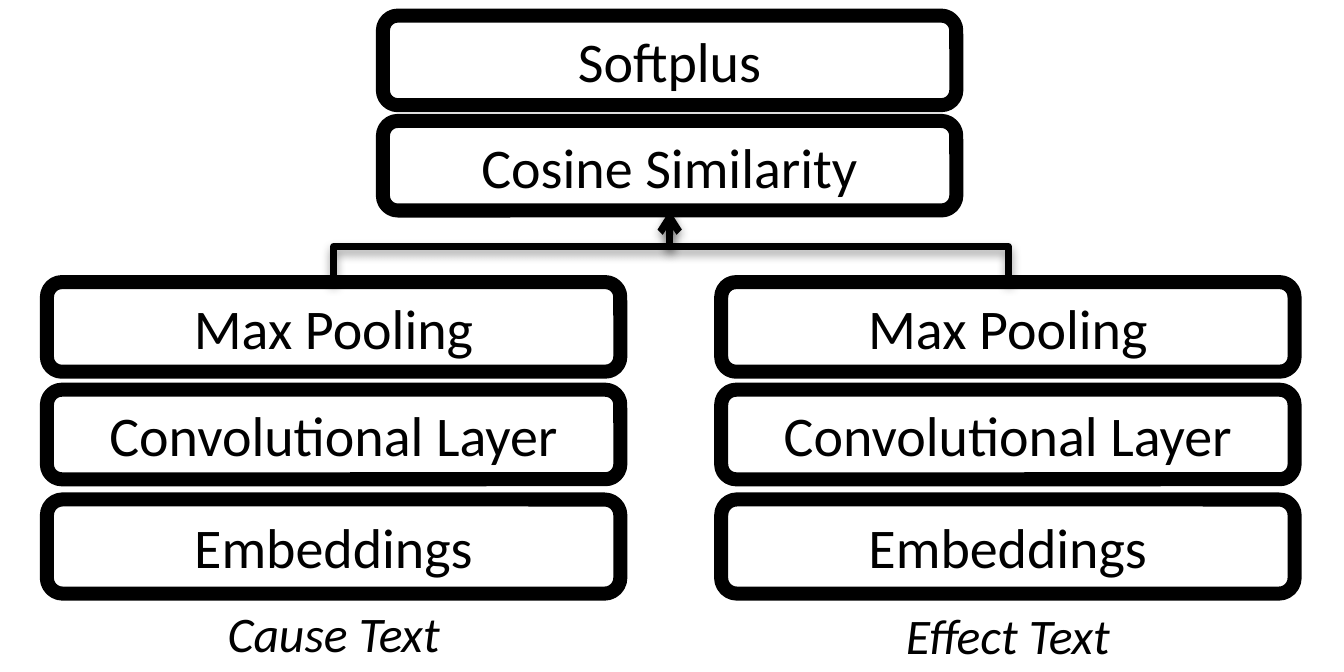
from dataclasses import dataclass

from lxml import etree
from pptx import Presentation
from pptx.dml.color import RGBColor
from pptx.enum.shapes import MSO_CONNECTOR, MSO_SHAPE
from pptx.enum.text import MSO_ANCHOR, MSO_AUTO_SIZE, PP_ALIGN
from pptx.oxml import parse_xml
from pptx.oxml.ns import nsdecls, qn
from pptx.util import Inches, Pt

ELBOW = MSO_CONNECTOR.ELBOW
ROUNDED = MSO_SHAPE.ROUNDED_RECTANGLE
CENTER = PP_ALIGN.CENTER
MIDDLE = MSO_ANCHOR.MIDDLE
FIT_SHAPE = MSO_AUTO_SIZE.SHAPE_TO_FIT_TEXT
TOP_SITE, BOTTOM_SITE = 0, 2


@dataclass(frozen=True)
class Theme:
    font: str = "Calibri"
    ink: RGBColor = RGBColor(0, 0, 0)
    paper: RGBColor = RGBColor(255, 255, 255)
    layer_size: Pt = Pt(18)
    label_size: Pt = Pt(16)
    border: Pt = Pt(4.5)
    link: Pt = Pt(2.25)


@dataclass(frozen=True)
class Layer:
    text: str
    top: float
    height: float = 0.4


@dataclass(frozen=True)
class Tower:
    label: str
    left: float
    label_top: float


THEME = Theme()
LAYER_W = 2.56
LABEL_W, LABEL_H = 1.24, 0.37
HEAD_LEFT = 1.71
HEAD = [Layer("Softplus", 0.07), Layer("Cosine Similarity", 0.54)]
TOWER_LAYERS = [Layer("Max Pooling", 1.26), Layer("Convolutional Layer", 1.74),
                Layer("Embeddings", 2.23, 0.42)]
TOWERS = [Tower("Cause Text", 0.21, 2.64), Tower("Effect Text", 3.22, 2.65)]
SHADOW = (f'<a:effectLst {nsdecls("a")}><a:outerShdw blurRad="40000" dist="20000" '
          'dir="5400000" rotWithShape="0"><a:srgbClr val="000000">'
          '<a:alpha val="38000"/></a:srgbClr></a:outerShdw></a:effectLst>')


def write(tf, text: str, size: Pt, italic: bool = False) -> None:
    p = tf.paragraphs[0]
    p.text = text
    p.alignment = CENTER
    p.font.name, p.font.size, p.font.italic = THEME.font, size, italic
    p.font.color.rgb = THEME.ink


def add_layer(s, layer: Layer, left: float):
    sp = s.shapes.add_shape(ROUNDED, Inches(left), Inches(layer.top),
                            Inches(LAYER_W), Inches(layer.height))
    sp.shadow.inherit = False
    sp.fill.solid()
    sp.fill.fore_color.rgb = THEME.paper
    sp.line.color.rgb = THEME.ink
    sp.line.width = THEME.border
    sp.text_frame.vertical_anchor = MIDDLE
    write(sp.text_frame, layer.text, THEME.layer_size)
    return sp


def add_label(s, tower: Tower) -> None:
    left = tower.left + (LAYER_W - LABEL_W) / 2
    sp = s.shapes.add_textbox(Inches(left), Inches(tower.label_top),
                              Inches(LABEL_W), Inches(LABEL_H))
    sp.text_frame.word_wrap = False
    sp.text_frame.auto_size = FIT_SHAPE
    write(sp.text_frame, tower.label, THEME.label_size, italic=True)


def add_link(s, start, start_site: int, end, end_site: int, arrow: bool = False) -> None:
    """Join two layers, left to right, by an elbow that leaves vertically."""
    cx = s.shapes.add_connector(ELBOW, 0, 0, 0, 0)
    cx.begin_connect(start, start_site)
    cx.end_connect(end, end_site)
    left, top, run, rise = cx.left, cx.top, cx.width, cx.height
    rising = cx.begin_y > cx.end_y

    # Turn the elbow a quarter about its centre
    cx.left, cx.top = left + (run - rise) // 2, top + (rise - run) // 2
    cx.width, cx.height = rise, run
    xfrm = cx._element.spPr.find(qn("a:xfrm"))
    xfrm.set("rot", "5400000" if rising else "16200000")
    xfrm.set("flipH", "1")
    xfrm.set("flipV", "1" if rising else "0")

    cx.line.color.rgb = THEME.ink
    cx.line.width = THEME.link
    if arrow:
        etree.SubElement(cx.line._get_or_add_ln(), qn("a:tailEnd"), type="arrow")
    cx._element.spPr.append(parse_xml(SHADOW))


prs = Presentation()
prs.slide_width, prs.slide_height = Inches(6), Inches(3)
s = prs.slides.add_slide(prs.slide_layouts[6])

# Shared head
softplus, cosine = [add_layer(s, layer, HEAD_LEFT) for layer in HEAD]

# Cause and effect towers
poolings = []
for tower in TOWERS:
    layers = [add_layer(s, layer, tower.left) for layer in TOWER_LAYERS]
    poolings.append(layers[0])
    add_label(s, tower)

# Links between the towers and the head
cause_pooling, effect_pooling = poolings
add_link(s, cause_pooling, TOP_SITE, cosine, BOTTOM_SITE, arrow=True)
add_link(s, cosine, BOTTOM_SITE, effect_pooling, TOP_SITE)

prs.save("out.pptx")
